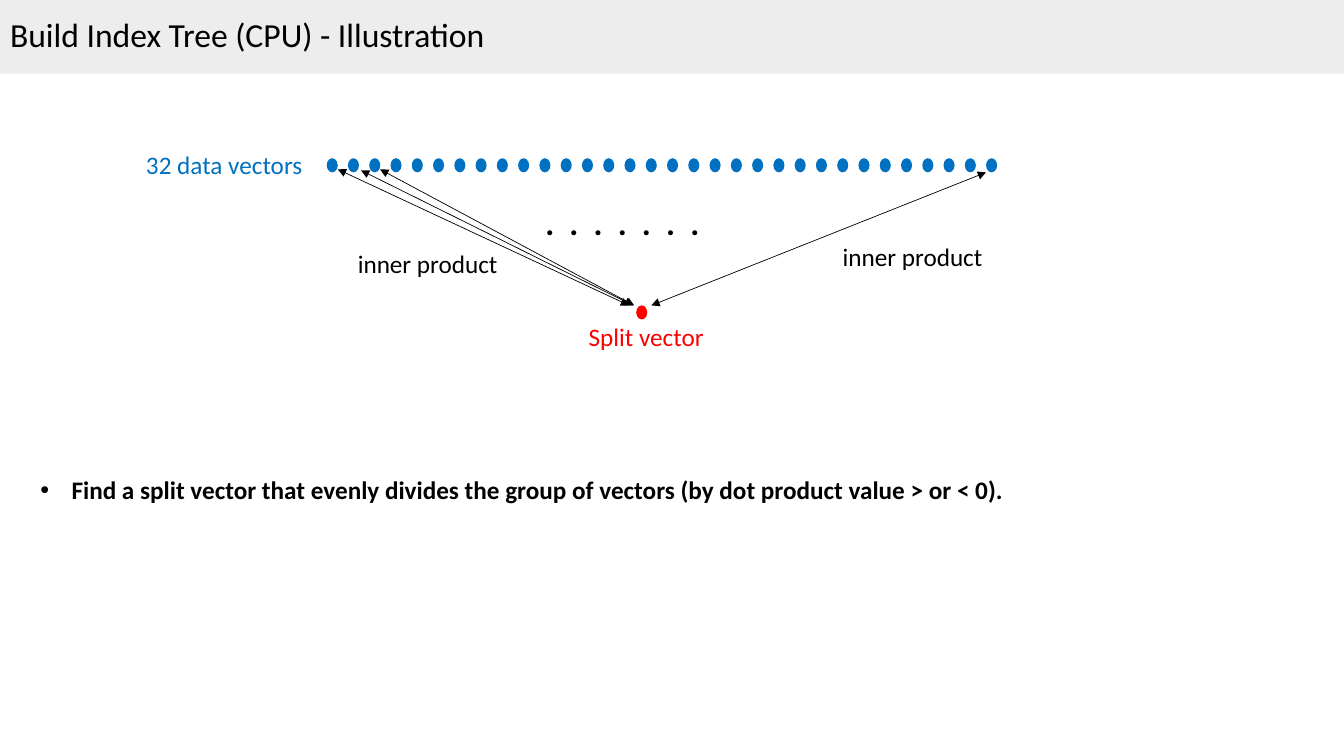
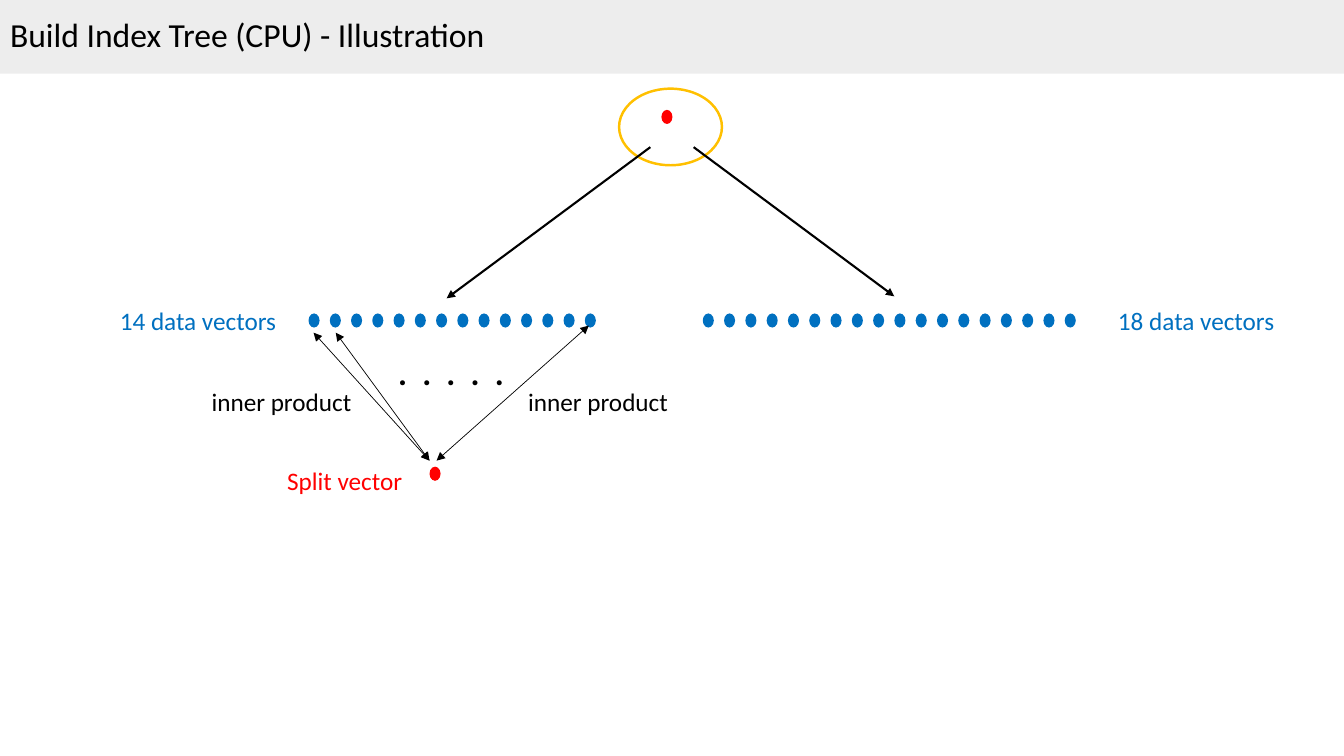
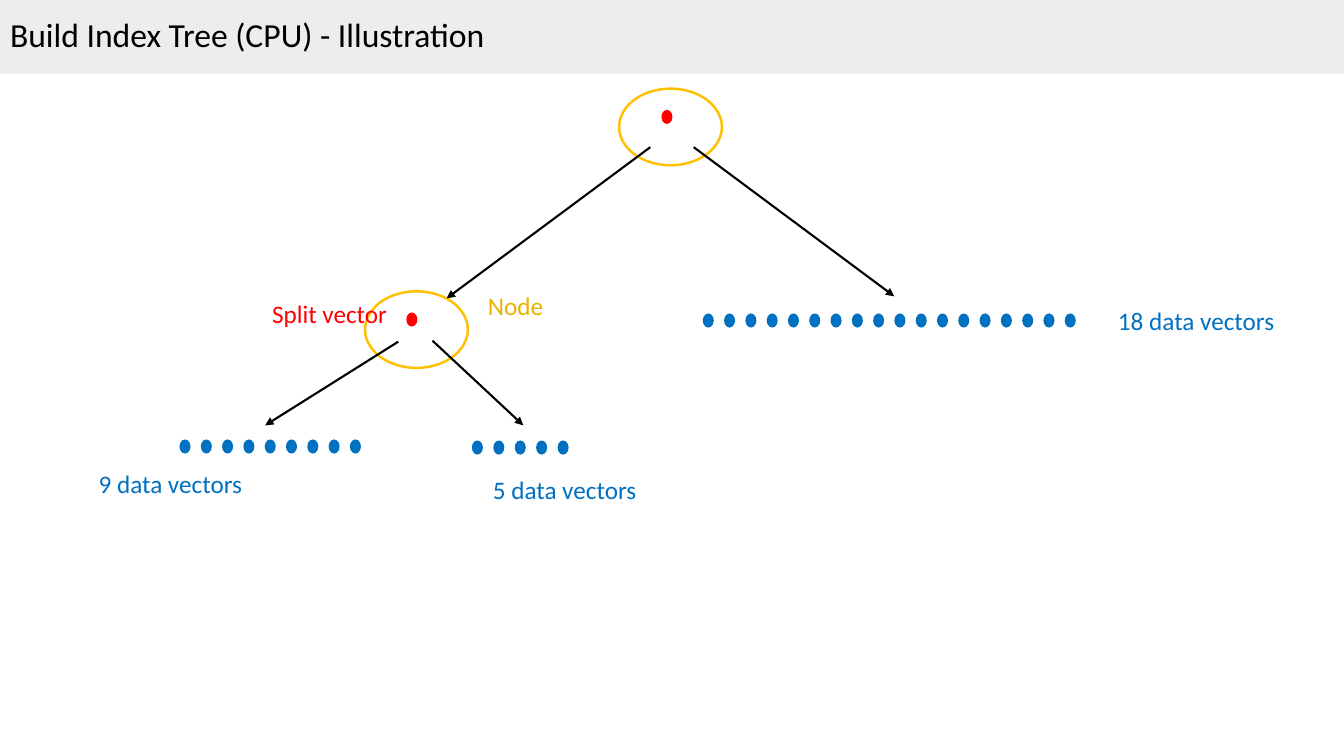
from dataclasses import dataclass

import pptx
import pptx.dml.color
import pptx.enum.shapes
import pptx.enum.text
import pptx.oxml
import pptx.oxml.ns
import pptx.presentation
import pptx.shapes.autoshape
import pptx.slide
import pptx.util
from pptx.util import Inches, Pt


@dataclass(frozen=True)
class Theme:
    font: str = "Calibri"
    text: str = "000000"
    band: str = "EDEDED"
    data: str = "0070C0"
    split: str = "FF0000"
    ring: str = "FFC000"
    node: str = "EAB200"
    title_size: int = 24
    body_size: int = 18
    ellipsis_size: int = 24
    product_line: float = 0.5
    branch_line: float = 1.5
    ring_line: float = 1.75


THEME = Theme()
TITLE = "Build Index Tree (CPU) - Illustration"
SLIDE_WIDTH, SLIDE_HEIGHT = 13.33, 7.5
BAND_HEIGHT = 0.73
DOT_SIZE = (0.11, 0.14)
RING_SIZE = (1.02, 0.76)
TITLE_AND_BODY, TITLE_ONLY = 1, 5


@dataclass(frozen=True)
class DotRow:
    """Equally spaced dots between the left edges of the first and last."""
    first: float
    last: float
    top: float
    count: int


@dataclass(frozen=True)
class Label:
    text: str
    left: float
    top: float
    width: float
    color: str = THEME.text
    height: float = 0.4
    size: int = THEME.body_size
    bold: bool = False
    wrap: bool = False


@dataclass(frozen=True)
class Arrow:
    start: tuple[float, float]
    end: tuple[float, float]
    width: float = THEME.branch_line
    both_ends: bool = False


@dataclass(frozen=True)
class Diagram:
    rows: tuple[DotRow, ...]
    split_dots: tuple[tuple[float, float], ...]
    arrows: tuple[Arrow, ...]
    labels: tuple[Label, ...]
    rings: tuple[tuple[float, float], ...] = ()


def data_label(count: int, left: float, top: float, width: float = 1.77) -> Label:
    return Label(f"{count} data vectors", left, top, width, THEME.data)


def split_label(left: float, top: float) -> Label:
    return Label("Split vector", left, top, 1.36, THEME.split)


def product_label(left: float, top: float) -> Label:
    return Label("inner product", left, top, 1.75, wrap=True)


def ellipsis_label(count: int, left: float, top: float) -> Label:
    return Label("  ".join("." * count), left, top, 1.75, height=0.5,
                 size=THEME.ellipsis_size, bold=True, wrap=True)


def product_arrow(start: tuple[float, float], end: tuple[float, float]) -> Arrow:
    return Arrow(start, end, THEME.product_line, both_ends=True)


ROOT_RING, ROOT_DOT = (6.14, 0.88), (6.56, 1.09)
ROOT_BRANCHES = (Arrow((6.45, 1.46), (4.43, 2.96)),
                 Arrow((6.88, 1.46), (8.87, 2.94)))
RIGHT_ROW = DotRow(6.97, 10.56, 3.11, 18)
RIGHT_LABEL = data_label(18, 10.99, 2.98)

ALL_VECTORS = Diagram(
    rows=(DotRow(3.24, 9.78, 1.57, 32),),
    split_dots=((6.31, 3.03),),
    arrows=(product_arrow((3.35, 1.68), (6.24, 3.03)),
            product_arrow((3.58, 1.69), (6.28, 3.03)),
            product_arrow((3.77, 1.68), (6.29, 3.03)),
            product_arrow((6.46, 3.03), (9.78, 1.71))),
    labels=(data_label(32, 1.35, 1.43), split_label(5.74, 3.14),
            product_label(3.45, 2.41), product_label(8.26, 2.34),
            ellipsis_label(7, 5.31, 1.95)),
)

FIRST_SPLIT = Diagram(
    rows=(DotRow(3.06, 5.8, 3.11, 14), RIGHT_ROW),
    split_dots=(ROOT_DOT, (4.26, 4.63)),
    rings=(ROOT_RING,),
    arrows=(*ROOT_BRANCHES,
            product_arrow((3.11, 3.3), (4.26, 4.57)),
            product_arrow((3.33, 3.3), (4.26, 4.57)),
            product_arrow((5.84, 3.23), (4.33, 4.57))),
    labels=(data_label(14, 1.09, 2.98), RIGHT_LABEL, split_label(2.75, 4.57),
            product_label(2, 3.78), product_label(5.14, 3.78),
            ellipsis_label(5, 3.85, 3.44)),
)

SECOND_SPLIT = Diagram(
    rows=(DotRow(1.78, 3.47, 4.36, 9), DotRow(4.68, 5.53, 4.37, 5), RIGHT_ROW),
    split_dots=(ROOT_DOT, (4.03, 3.1)),
    rings=(ROOT_RING, (3.62, 2.89)),
    arrows=(*ROOT_BRANCHES,
            Arrow((3.95, 3.39), (2.63, 4.22)),
            Arrow((4.29, 3.38), (5.19, 4.22))),
    labels=(data_label(9, 0.88, 4.6, 1.64), data_label(5, 4.79, 4.66, 1.64),
            RIGHT_LABEL, split_label(2.6, 2.91),
            Label("Node", 4.74, 2.83, 0.76, THEME.node)),
)


def rgb(color: str) -> pptx.dml.color.RGBColor:
    return pptx.dml.color.RGBColor.from_string(color)


def set_font(paragraph, size: int, color: str = THEME.text, bold: bool = False) -> None:
    font = paragraph.font
    font.name, font.size, font.bold = THEME.font, Pt(size), bold
    font.color.rgb = rgb(color)


def place(shape, left: float, top: float, width: float, height: float) -> None:
    shape.left, shape.top = Inches(left), Inches(top)
    shape.width, shape.height = Inches(width), Inches(height)


def add_ellipse(slide: pptx.slide.Slide, position: tuple[float, float],
                size: tuple[float, float]) -> pptx.shapes.autoshape.Shape:
    shape = slide.shapes.add_shape(
        pptx.enum.shapes.MSO_SHAPE.OVAL, *map(Inches, (*position, *size)))
    shape.shadow.inherit = False
    return shape


def add_dot(slide: pptx.slide.Slide, position: tuple[float, float], color: str) -> None:
    dot = add_ellipse(slide, position, DOT_SIZE)
    dot.fill.solid()
    dot.fill.fore_color.rgb = rgb(color)
    dot.line.fill.background()


def add_row(slide: pptx.slide.Slide, row: DotRow) -> None:
    pitch = (row.last - row.first) / (row.count - 1)
    for index in range(row.count):
        add_dot(slide, (row.first + index * pitch, row.top), THEME.data)


def add_ring(slide: pptx.slide.Slide, position: tuple[float, float]) -> None:
    ring = add_ellipse(slide, position, RING_SIZE)
    ring.fill.background()
    ring.line.color.rgb = rgb(THEME.ring)
    ring.line.width = Pt(THEME.ring_line)


def add_arrow(slide: pptx.slide.Slide, arrow: Arrow) -> None:
    connector = slide.shapes.add_connector(
        pptx.enum.shapes.MSO_CONNECTOR.STRAIGHT,
        *map(Inches, (*arrow.start, *arrow.end)))
    connector.line.color.rgb = rgb(THEME.text)
    connector.line.width = Pt(arrow.width)
    properties = connector._element.spPr
    line = properties.find(pptx.oxml.ns.qn("a:ln"))
    for tag in ("a:headEnd", "a:tailEnd") if arrow.both_ends else ("a:tailEnd",):
        end = pptx.oxml.parse_xml(f'<{tag} {pptx.oxml.ns.nsdecls("a")} type="triangle"/>')
        line.append(end)
    properties.append(
        pptx.oxml.parse_xml(f'<a:effectLst {pptx.oxml.ns.nsdecls("a")}/>'))


def add_label(slide: pptx.slide.Slide, label: Label) -> None:
    box = slide.shapes.add_textbox(
        *map(Inches, (label.left, label.top, label.width, label.height)))
    box.text_frame.word_wrap = label.wrap
    paragraph = box.text_frame.paragraphs[0]
    paragraph.text = label.text
    set_font(paragraph, label.size, label.color, label.bold)


def set_title(slide: pptx.slide.Slide) -> None:
    """Turn the title placeholder into the band across the top."""
    title = slide.shapes.title
    place(title, 0, 0, SLIDE_WIDTH, BAND_HEIGHT)
    title.fill.solid()
    title.fill.fore_color.rgb = rgb(THEME.band)
    frame = title.text_frame
    frame.text = TITLE
    frame.auto_size = pptx.enum.text.MSO_AUTO_SIZE.NONE
    frame.vertical_anchor = pptx.enum.text.MSO_ANCHOR.MIDDLE
    paragraph = frame.paragraphs[0]
    paragraph.alignment = pptx.enum.text.PP_ALIGN.LEFT
    paragraph.line_spacing = 0.9
    paragraph.space_before = paragraph.space_after = Pt(6)
    set_font(paragraph, THEME.title_size)


def set_body(slide: pptx.slide.Slide, text: str) -> None:
    body = slide.placeholders[1]
    place(body, 0.3, 4.66, 11.37, 0.71)
    frame = body.text_frame
    frame.text = text
    frame.auto_size = pptx.enum.text.MSO_AUTO_SIZE.NONE
    paragraph = frame.paragraphs[0]
    paragraph.space_before = Pt(0)
    set_font(paragraph, THEME.body_size, bold=True)
    properties = paragraph._p.get_or_add_pPr()
    properties.set("marL", str(Inches(0.31)))
    properties.set("indent", str(Inches(-0.31)))


def add_diagram_slide(presentation: pptx.presentation.Presentation,
                      diagram: Diagram, body: str = "") -> None:
    layout = TITLE_AND_BODY if body else TITLE_ONLY
    slide = presentation.slides.add_slide(presentation.slide_layouts[layout])
    set_title(slide)
    if body:
        set_body(slide, body)
    for row in diagram.rows:
        add_row(slide, row)
    for position in diagram.split_dots:
        add_dot(slide, position, THEME.split)
    for position in diagram.rings:
        add_ring(slide, position)
    for arrow in diagram.arrows:
        add_arrow(slide, arrow)
    for label in diagram.labels:
        add_label(slide, label)


def main() -> None:
    presentation = pptx.Presentation()
    presentation.slide_width = Inches(SLIDE_WIDTH)
    presentation.slide_height = Inches(SLIDE_HEIGHT)
    add_diagram_slide(
        presentation, ALL_VECTORS,
        "Find a split vector that evenly divides the group of vectors "
        "(by dot product value > or < 0).")
    add_diagram_slide(presentation, FIRST_SPLIT)
    add_diagram_slide(presentation, SECOND_SPLIT)
    presentation.save("out.pptx")


if __name__ == "__main__":
    main()
